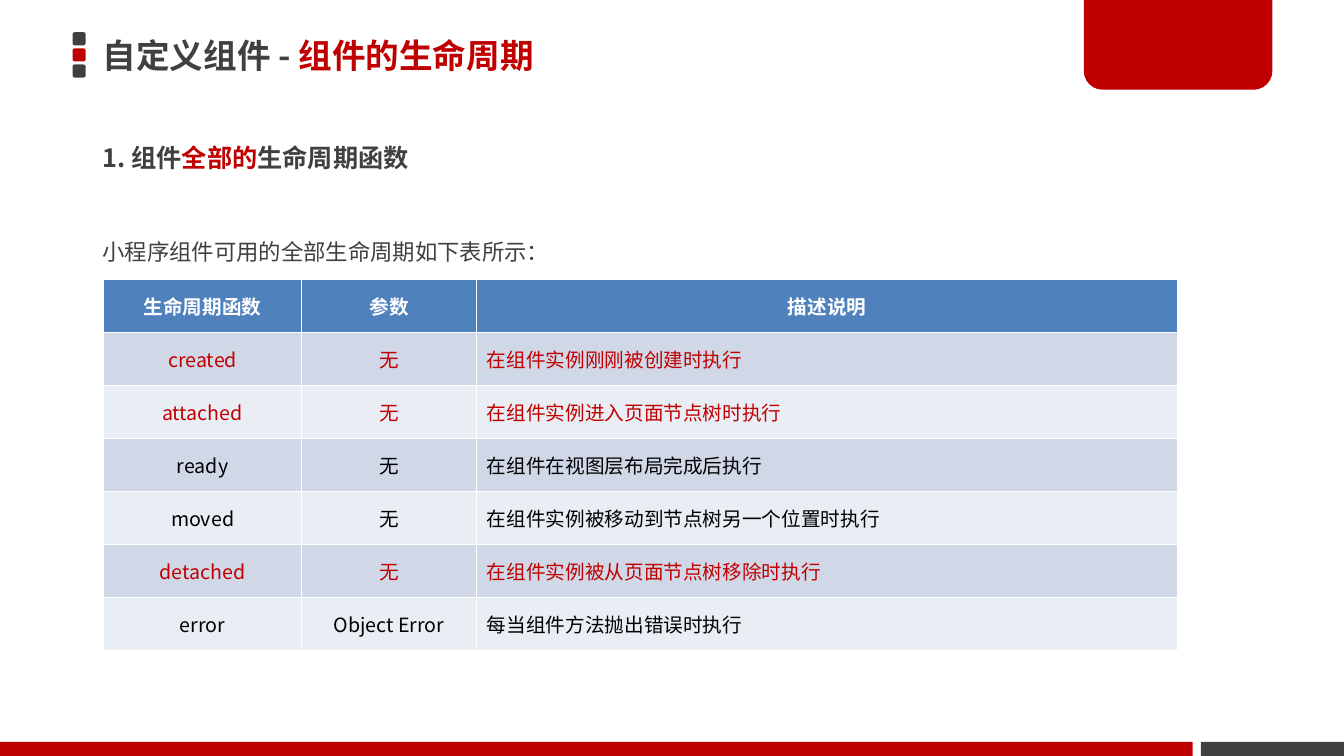
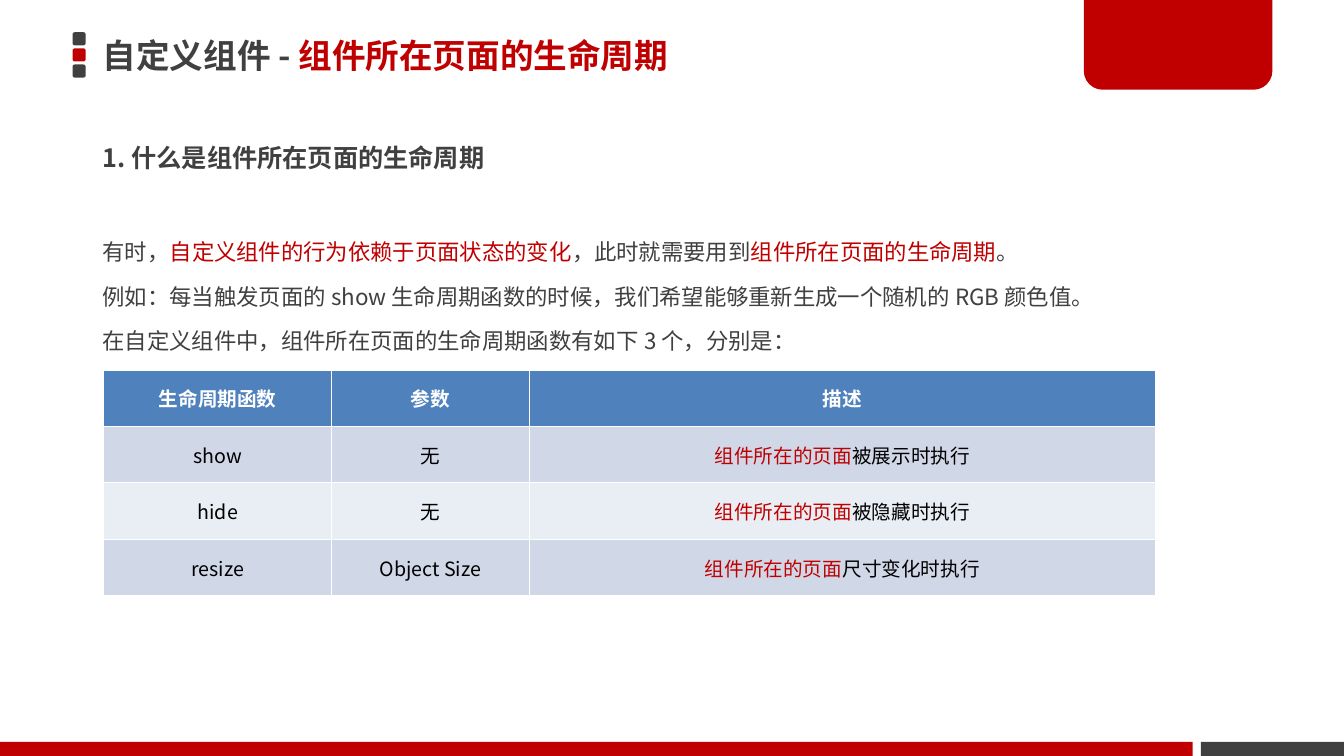
from lxml import etree
from pptx import Presentation
from pptx.dml.color import RGBColor
from pptx.enum.shapes import MSO_SHAPE
from pptx.enum.text import MSO_ANCHOR, PP_ALIGN
from pptx.oxml.ns import qn
from pptx.util import Inches, Pt

RECT, ROUNDED = MSO_SHAPE.RECTANGLE, MSO_SHAPE.ROUNDED_RECTANGLE
TAB = MSO_SHAPE.ROUND_2_SAME_RECTANGLE
TOP, MIDDLE = MSO_ANCHOR.TOP, MSO_ANCHOR.MIDDLE
LEFT, CENTER = PP_ALIGN.LEFT, PP_ALIGN.CENTER

WIDTH, HEIGHT = 13.33, 7.5
FONT = "Noto Sans CJK JP"
RED = RGBColor(0xC0, 0x00, 0x00)
GRAY = RGBColor(0x40, 0x40, 0x40)
BLACK = RGBColor(0x00, 0x00, 0x00)
WHITE = RGBColor(0xFF, 0xFF, 0xFF)
HEADER_BLUE = RGBColor(0x4F, 0x81, 0xBD)
ROW_FILLS = (RGBColor(0xD0, 0xD8, 0xE8), RGBColor(0xE9, 0xED, 0xF4))

TEXT_LEFT, TABLE_LEFT = 0.92, 1.03
BODY_WIDTH = 10.77

# Bars switch the colour of the text to red and back again.
SLIDES = [
    {
        "title": "自定义组件 - |组件的生命周期",
        "heading": "1. 组件|全部的|生命周期函数",
        "body": ["小程序组件可用的全部生命周期如下表所示："],
        "table_top": 2.77,
        "columns": (1.96, 1.74, 6.95),
        "row_height": 0.526,
        "last_align": LEFT,
        "rows": [
            ("生命周期函数", "参数", "描述说明"),
            ("|created", "|无", "|在组件实例刚刚被创建时执行"),
            ("|attached", "|无", "|在组件实例进入页面节点树时执行"),
            ("ready", "无", "在组件在视图层布局完成后执行"),
            ("moved", "无", "在组件实例被移动到节点树另一个位置时执行"),
            ("|detached", "|无", "|在组件实例被从页面节点树移除时执行"),
            ("error", "Object Error", "每当组件方法抛出错误时执行"),
        ],
    },
    {
        "title": "自定义组件 - |组件所在页面的生命周期",
        "heading": "1. 什么是组件所在页面的生命周期",
        "body": [
            "有时，|自定义组件的行为依赖于页面状态的变化|，此时就需要用到"
            "|组件所在页面的生命周期|。",
            "例如：每当触发页面的 show 生命周期函数的时候，"
            "我们希望能够重新生成一个随机的 RGB 颜色值。",
            "在自定义组件中，组件所在页面的生命周期函数有如下 3 个，分别是：",
        ],
        "table_top": 3.67,
        "columns": (2.26, 1.96, 6.21),
        "row_height": 0.56,
        "last_align": CENTER,
        "rows": [
            ("生命周期函数", "参数", "描述"),
            ("show", "无", "|组件所在的页面|被展示时执行"),
            ("hide", "无", "|组件所在的页面|被隐藏时执行"),
            ("resize", "Object Size", "|组件所在的页面|尺寸变化时执行"),
        ],
    },
]


def write(para, marked, size, color, bold=False):
    """Fill a paragraph; every second part between bars is red."""
    for index, part in enumerate(marked.split("|")):
        if not part:
            continue
        span = para.add_run()
        span.text = part
        span.font.name = FONT
        span.font.size = Pt(size)
        span.font.bold = bold
        span.font.color.rgb = RED if index % 2 else color
        east_asian = etree.SubElement(span.font._element, qn("a:ea"))
        east_asian.set("typeface", FONT)


def add_text(page, top, width, height, lines, size, bold=False,
             anchor=MIDDLE, spacing=1.0, before=0):
    box = page.shapes.add_textbox(Inches(TEXT_LEFT), Inches(top),
                                  Inches(width), Inches(height))
    frame = box.text_frame
    frame.word_wrap = True
    frame.vertical_anchor = anchor
    for index, line in enumerate(lines):
        para = frame.add_paragraph() if index else frame.paragraphs[0]
        para.line_spacing = spacing
        para.space_before = Pt(before)
        write(para, line, size, GRAY, bold)


def add_block(page, kind, left, top, width, height, color, adjustments=()):
    block = page.shapes.add_shape(kind, Inches(left), Inches(top),
                                  Inches(width), Inches(height))
    block.shadow.inherit = False
    block.fill.solid()
    block.fill.fore_color.rgb = color
    block.line.fill.background()
    for index, value in enumerate(adjustments):
        block.adjustments[index] = value


def add_frame(page):
    """Draw the title marks, corner tab and footer bands."""
    for index, color in enumerate((GRAY, RED, GRAY)):
        add_block(page, ROUNDED, 0.72, 0.32 + 0.16 * index, 0.13, 0.13, color)
    add_block(page, TAB, 10.75, 0, 1.87, 0.89, RED, (0, 0.21))
    add_block(page, RECT, 0, 7.36, 11.83, 0.14, RED)
    add_block(page, RECT, 11.91, 7.36, WIDTH - 11.91, 0.14, GRAY)


def add_table(page, content):
    rows, columns = content["rows"], content["columns"]
    row_height = content["row_height"]
    table = page.shapes.add_table(
        len(rows), len(columns), Inches(TABLE_LEFT),
        Inches(content["table_top"]), Inches(sum(columns)),
        Inches(row_height * len(rows))).table
    for column, width in zip(table.columns, columns):
        column.width = Inches(width)
    for row_index, row in enumerate(rows):
        header = row_index == 0
        for column_index, text in enumerate(row):
            cell = table.cell(row_index, column_index)
            cell.vertical_anchor = MIDDLE
            cell.fill.solid()
            cell.fill.fore_color.rgb = (
                HEADER_BLUE if header else ROW_FILLS[(row_index - 1) % 2])
            para = cell.text_frame.paragraphs[0]
            last = column_index == len(columns) - 1
            para.alignment = (
                content["last_align"] if last and not header else CENTER)
            write(para, text, 14, WHITE if header else BLACK, header)


def main():
    deck = Presentation()
    deck.slide_width, deck.slide_height = Inches(WIDTH), Inches(HEIGHT)
    for content in SLIDES:
        page = deck.slides.add_slide(deck.slide_layouts[6])
        add_frame(page)
        add_text(page, 0.26, 9.59, 0.57, [content["title"]], 24, bold=True)
        add_text(page, 1.28, BODY_WIDTH, 0.57, [content["heading"]], 18,
                 bold=True, before=3.6)
        add_text(page, 2.18, BODY_WIDTH, 0.57 + 0.65 * (len(content["body"]) - 1),
                 content["body"], 16, anchor=TOP, spacing=1.5, before=3.2)
        add_table(page, content)
    deck.save("out.pptx")


if __name__ == "__main__":
    main()
